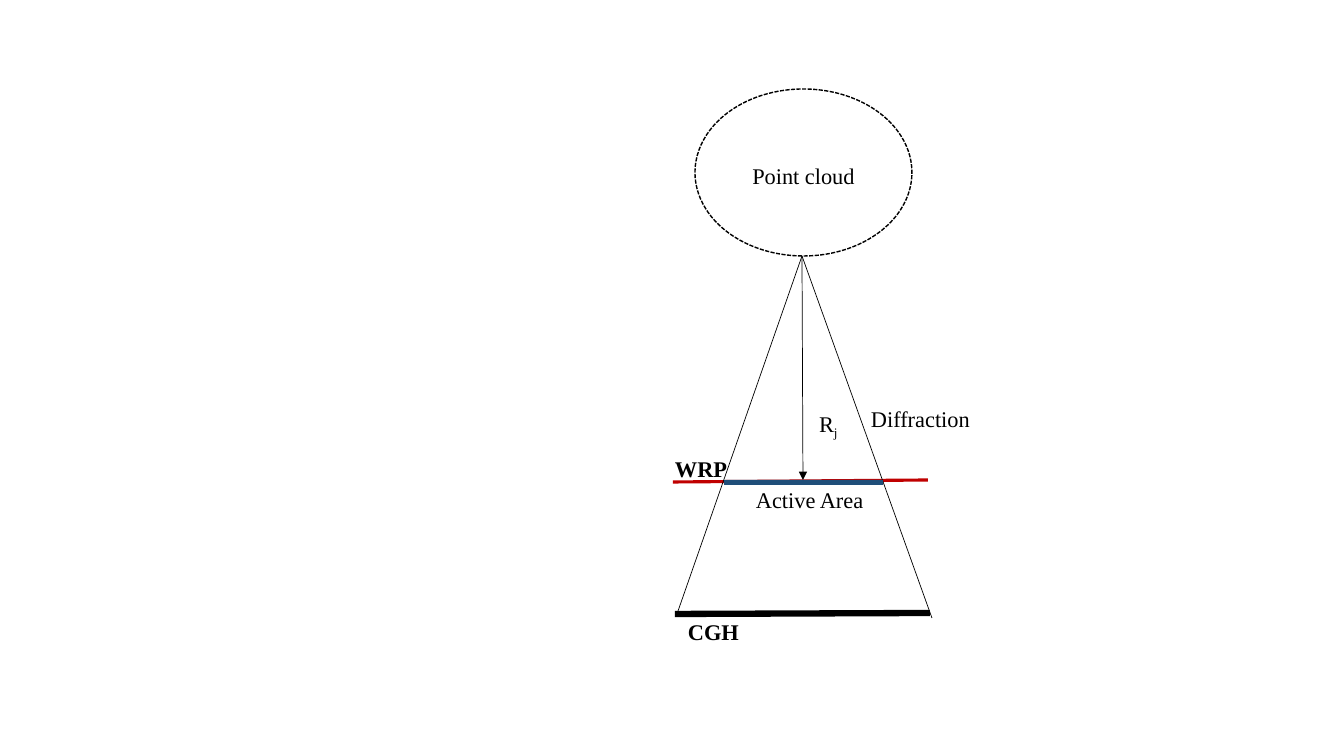
import pptx
import pptx.dml.color
import pptx.enum.dml
import pptx.enum.shapes
import pptx.enum.text
import pptx.oxml.ns
import pptx.util
import lxml.etree

PIXEL = 914400 / 100.8
COLOURS = {"ink": "000000", "wrp": "C00000", "active": "1F4E79"}
FONT = "Times New Roman"


def lengths(*pixels):
    return [pptx.util.Emu(round(value * PIXEL)) for value in pixels]


def colour(name):
    return pptx.dml.color.RGBColor.from_string(COLOURS[name])


deck = pptx.Presentation()
deck.slide_width, deck.slide_height = lengths(1344, 756)
page = deck.slides.add_slide(deck.slide_layouts[6])
shapes = page.shapes

# Planes, diffraction rays and distance arrow
apex = (802, 256)
lines = [
    ((673, 482), (928, 480), "wrp", 2.25, False),
    (apex, (677, 614), "ink", 0.5, False),
    (apex, (932, 618), "ink", 0.5, False),
    (apex, (803, 480), "ink", 0.5, True),
    ((675, 614), (930, 613), "ink", 4.5, False),
]
for start, end, line_colour, width, has_arrow in lines:
    line = shapes.add_connector(
        pptx.enum.shapes.MSO_CONNECTOR.STRAIGHT, *lengths(*start, *end))
    line.line.color.rgb = colour(line_colour)
    line.line.width = pptx.util.Pt(width)
    if has_arrow:
        lxml.etree.SubElement(line.line._get_or_add_ln(),
                              pptx.oxml.ns.qn("a:tailEnd"), type="triangle")
    lxml.etree.SubElement(line._element.spPr, pptx.oxml.ns.qn("a:effectLst"))

# Active area on the WRP
active_area = shapes.add_shape(
    pptx.enum.shapes.MSO_SHAPE.RECTANGLE, *lengths(724, 480, 159, 5))
active_area.shadow.inherit = False
active_area.fill.solid()
active_area.fill.fore_color.rgb = colour("active")
active_area.line.fill.background()

# Point cloud outline
cloud = shapes.add_shape(
    pptx.enum.shapes.MSO_SHAPE.OVAL, *lengths(695, 89, 217, 167))
cloud.shadow.inherit = False
cloud.fill.background()
cloud.line.color.rgb = colour("ink")
cloud.line.width = pptx.util.Pt(1)
cloud.line.dash_style = pptx.enum.dml.MSO_LINE.SQUARE_DOT

# Labels: runs, place, bold, side and top insets, alignment
LEFT = pptx.enum.text.PP_ALIGN.LEFT
CENTER = pptx.enum.text.PP_ALIGN.CENTER
labels = [
    (["Diffraction"], (871, 405, 119, 27), False, (0, 0), LEFT),
    (["WRP"], (675, 455, 58, 27), True, (0, 0), LEFT),
    (["CGH"], (688, 618, 62, 27), True, (0, 0), LEFT),
    (["Active Area"], (746, 481, 129, 37), False, (10, 5), LEFT),
    (["R", "j"], (809, 405, 39, 37), False, (10, 5), LEFT),
    (["Point cloud"], (695, 157, 217, 37), False, (10, 5), CENTER),
]
for texts, place, bold, insets, alignment in labels:
    box = shapes.add_textbox(*lengths(*place))
    frame = box.text_frame
    frame.word_wrap = True
    frame.margin_left, frame.margin_top = lengths(*insets)
    frame.margin_right, frame.margin_bottom = lengths(*insets)
    paragraph = frame.paragraphs[0]
    paragraph.alignment = alignment
    for index, text in enumerate(texts):
        span = paragraph.add_run()
        span.text = text
        span.font.name = FONT
        span.font.size = pptx.util.Pt(16)
        span.font.bold = bold
        span.font.color.rgb = colour("ink")
        if index > 0:  # subscript
            span.font._element.set("baseline", "-25000")

deck.save("out.pptx")
